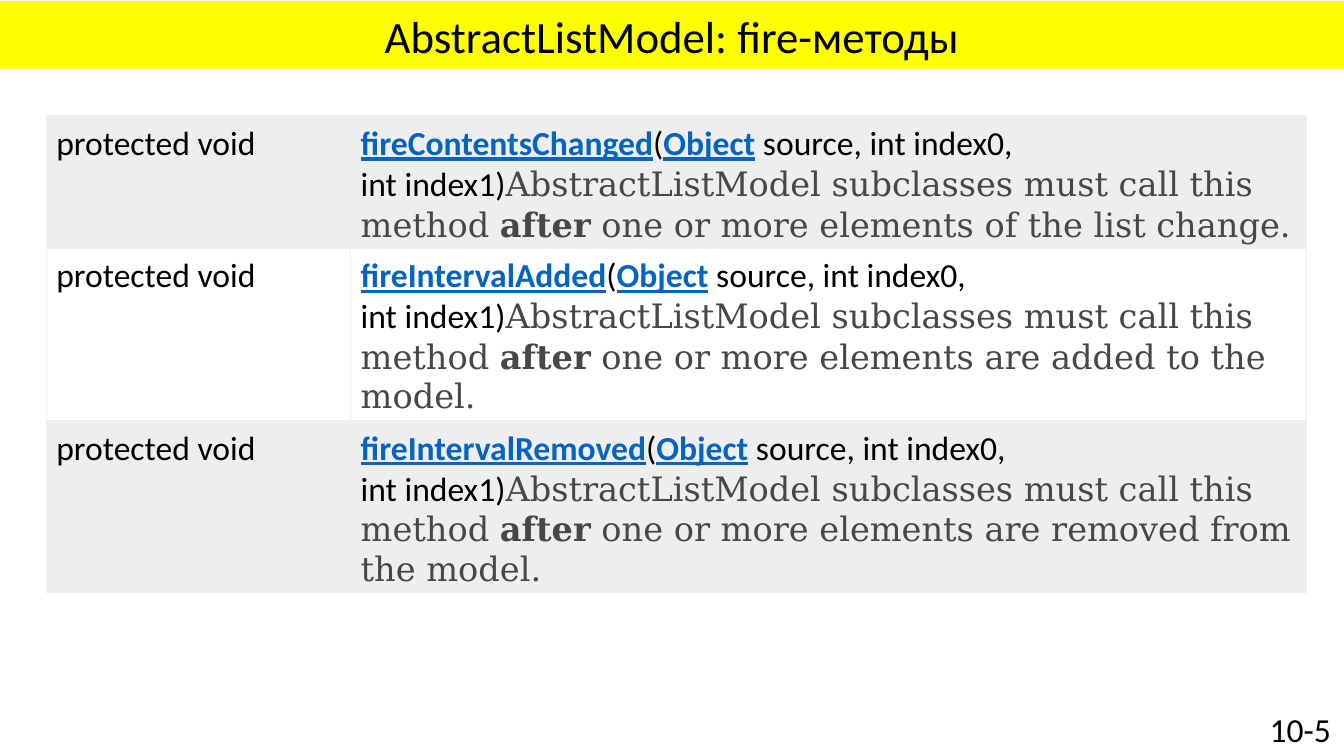
from lxml.etree import SubElement
from pptx import Presentation
from pptx.dml.color import RGBColor
from pptx.enum.text import MSO_ANCHOR as Anchor, MSO_AUTO_SIZE as AutoSize, PP_ALIGN as Align
from pptx.oxml.ns import qn
from pptx.util import Cm, Pt

TITLE = "AbstractListModel: fire-методы"
PAGE = "10-5"
MODIFIER = "protected void"
METHODS = [
    ("fireContentsChanged", "of the list change."),
    ("fireIntervalAdded", "are added to the model."),
    ("fireIntervalRemoved", "are removed from the model."),
]
COLORS = {
    "banner": "FFFF00", "text": "000000", "link": "0563C1", "description": "474747",
    "shaded": "EEEEEF", "plain": "FFFFFF", "border": "EEEEEE",
}
# Each style: font, colour, bold, underline
STYLES = {
    "code": ("Calibri", "text", False, False),
    "link": ("Calibri", "link", True, True),
    "description": ("DejaVu Serif", "description", False, False),
    "emphasis": ("DejaVu Serif", "description", True, False),
}
SLIDE_WIDTH, SLIDE_HEIGHT = Cm(33.87), Cm(19.05)
COLUMN_WIDTHS = [Cm(7.67), Cm(24.08)]
ROW_HEIGHTS = [Cm(3.33), Cm(4.33), Cm(4.33)]


def rgb(name):
    """Return a palette colour."""
    return RGBColor.from_string(COLORS[name])


def style_run(run, style="code", size=24):
    """Format a run with one of the named styles."""
    font = run.font
    font.name, color, font.bold, font.underline = STYLES[style]
    font.size = Pt(size)
    font.color.rgb = rgb(color)


def signature(method, ending):
    """Return the styled pieces of one method's description."""
    return [
        (method, "link"), ("(", "code"), ("Object", "link"),
        ("\u00a0source, int\u00a0index0, int\u00a0index1)", "code"),
        ("AbstractListModel\u00a0subclasses must call this method\u00a0", "description"),
        ("after", "emphasis"),
        (f"\u00a0one or more elements {ending}", "description"),
    ]


def fill_cell(cell, pieces, shade):
    """Write styled pieces into a cell and set its margins, borders and fill."""
    cell.margin_left, cell.margin_top = Cm(0.25), Cm(0.2)
    cell.margin_right = cell.margin_bottom = Cm(0.08)
    for text, style in pieces:
        run = cell.text_frame.paragraphs[0].add_run()
        run.text = text
        style_run(run, style)
    properties = cell._tc.get_or_add_tcPr()
    for side in ("a:lnL", "a:lnR", "a:lnT", "a:lnB"):
        border = SubElement(properties, qn(side), w=str(Pt(0.75)))
        paint = SubElement(border, qn("a:solidFill"))
        SubElement(paint, qn("a:srgbClr"), val=COLORS["border"])
    cell.fill.solid()
    cell.fill.fore_color.rgb = rgb(shade)


def add_title(slide):
    """Turn the title placeholder into the banner."""
    title = slide.shapes.title
    title.left, title.top, title.width, title.height = 0, Cm(0.03), SLIDE_WIDTH, Cm(1.7)
    title.fill.solid()
    title.fill.fore_color.rgb = rgb("banner")
    frame = title.text_frame
    frame.text = TITLE
    frame.auto_size = AutoSize.NONE
    frame.vertical_anchor = Anchor.BOTTOM
    heading = frame.paragraphs[0]
    heading.alignment, heading.line_spacing = Align.CENTER, 0.9
    for run in heading.runs:
        style_run(run, size=32)


def add_methods(slide):
    """Add the table of methods, shading every other row."""
    methods = slide.shapes.add_table(
        len(METHODS), len(COLUMN_WIDTHS), Cm(1.17), Cm(2.92),
        sum(COLUMN_WIDTHS), sum(ROW_HEIGHTS)).table
    methods.first_row = methods.horz_banding = False
    for column, width in zip(methods.columns, COLUMN_WIDTHS):
        column.width = width
    for index, (method, ending) in enumerate(METHODS):
        methods.rows[index].height = ROW_HEIGHTS[index]
        shade = "plain" if index % 2 else "shaded"
        fill_cell(methods.cell(index, 0), [(MODIFIER, "code")], shade)
        fill_cell(methods.cell(index, 1), signature(method, ending), shade)


def add_page(slide):
    """Add the page label at the bottom right."""
    frame = slide.shapes.add_textbox(Cm(29.29), Cm(17.73), Cm(4.5), Cm(1.27)).text_frame
    frame.word_wrap = True
    frame.text = PAGE
    label = frame.paragraphs[0]
    label.alignment = Align.RIGHT
    style_run(label.runs[0])


deck = Presentation()
deck.slide_width, deck.slide_height = SLIDE_WIDTH, SLIDE_HEIGHT
fire_slide = deck.slides.add_slide(deck.slide_layouts.get_by_name("Title Only"))
add_title(fire_slide)
add_page(fire_slide)
add_methods(fire_slide)
deck.save("out.pptx")
